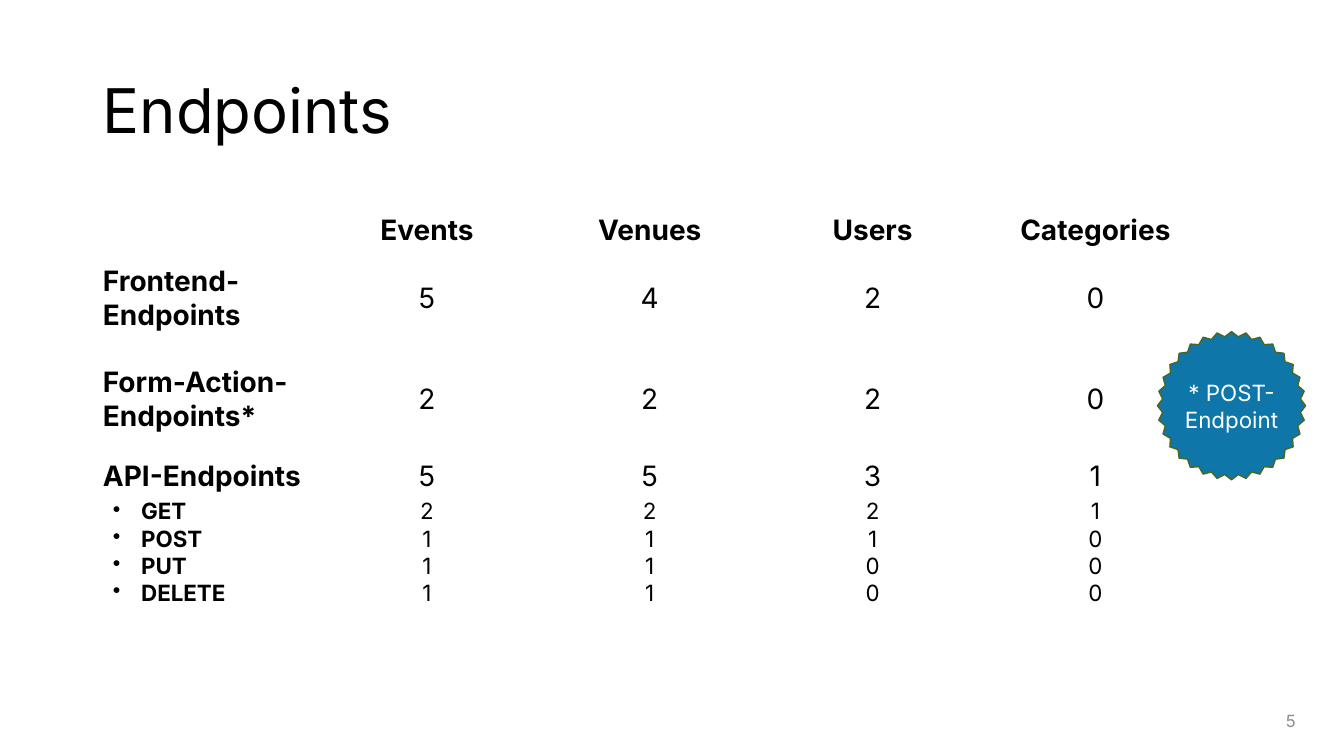
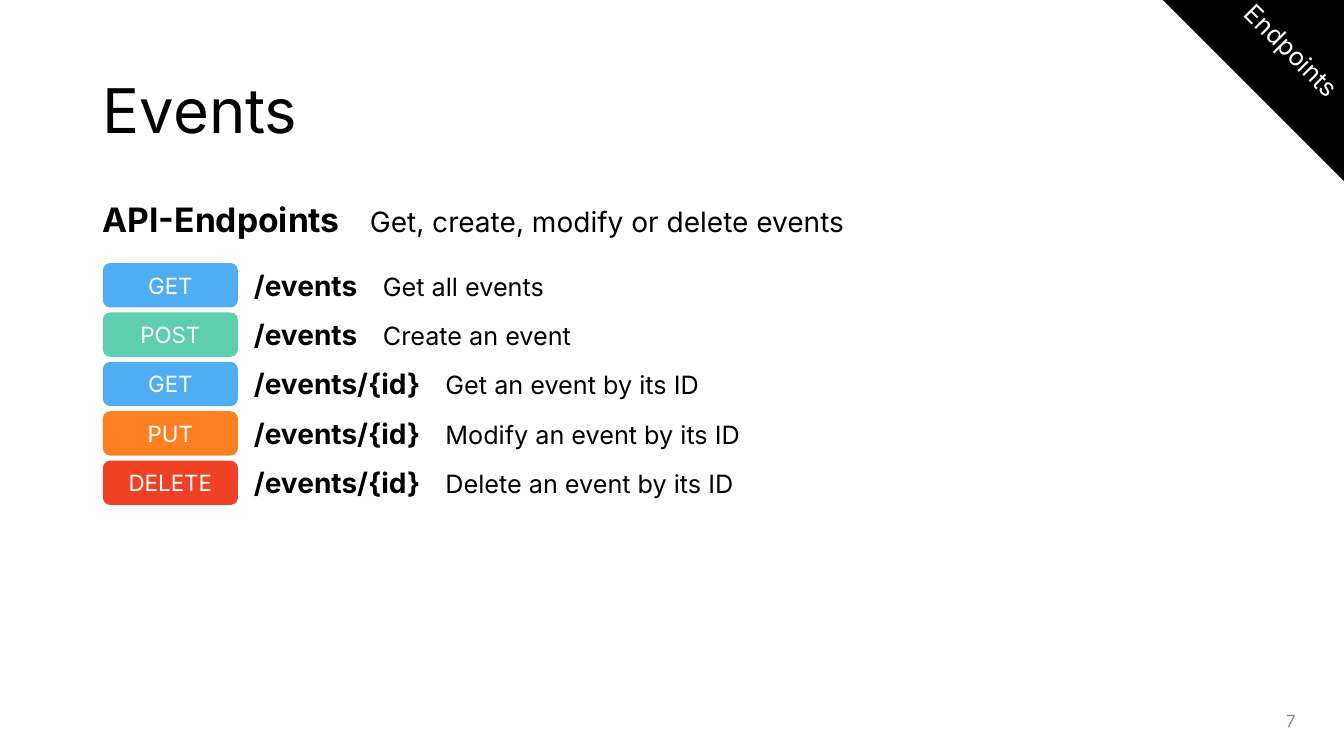
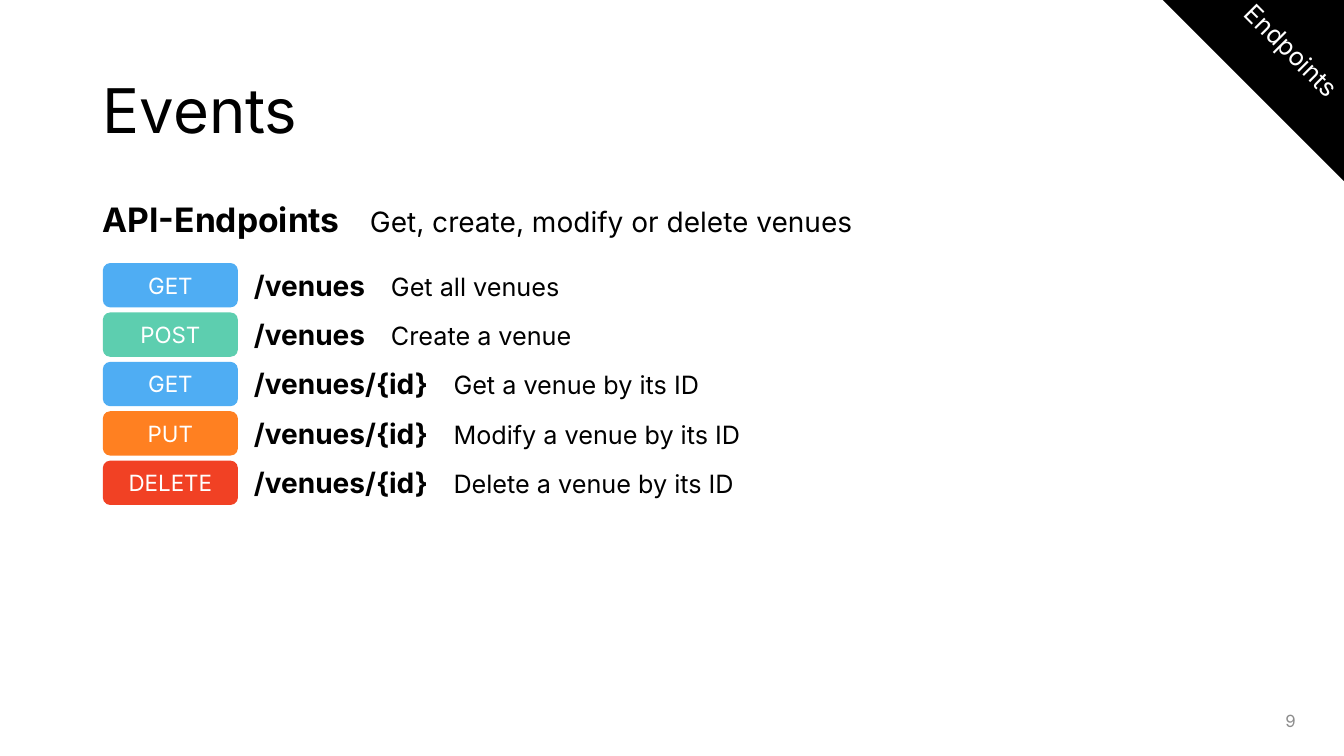
from lxml import etree
from pptx import Presentation
from pptx.dml.color import RGBColor
from pptx.enum.shapes import MSO_SHAPE
from pptx.enum.text import MSO_ANCHOR, PP_ALIGN
from pptx.oxml.ns import qn
from pptx.util import Inches, Pt

ROUNDED, STAR, TRIANGLE = MSO_SHAPE.ROUNDED_RECTANGLE, MSO_SHAPE.STAR_32_POINT, MSO_SHAPE.ISOSCELES_TRIANGLE
TOP, MIDDLE, BOTTOM = MSO_ANCHOR.TOP, MSO_ANCHOR.MIDDLE, MSO_ANCHOR.BOTTOM
LEFT, CENTER, RIGHT = PP_ALIGN.LEFT, PP_ALIGN.CENTER, PP_ALIGN.RIGHT

FONT = "Inter"
BLACK, WHITE, GREY = "000000", "FFFFFF", "8C8C8C"
STAR_FILL, STAR_LINE = "0E76A8", "496724"
METHOD_COLOURS = {"GET": "4FADF3", "POST": "5DCEAF", "PUT": "FF8021", "DELETE": "F14124"}

COLUMN_WIDTH = 2.21
ROW_HEIGHTS = [0.5, 0.92, 1.08, 1.57]
TABLE_ROWS = [
    ["", "Events", "Venues", "Users", "Categories"],
    ["Frontend-Endpoints", "5", "4", "2", "0"],
    ["Form-Action-Endpoints*", "2", "2", "2", "0"],
    ["API-Endpoints\nGET\nPOST\nPUT\nDELETE", "5\n2\n1\n1\n1", "5\n2\n1\n1\n1",
     "3\n2\n1\n0\n0", "1\n1\n0\n0\n0"],
]

RESOURCES = [
    {"number": 7, "plural": "events", "single": "an event", "collection_tab": 1.28, "item_tab": 1.9},
    {"number": 9, "plural": "venues", "single": "a venue", "collection_tab": 1.36, "item_tab": 1.98},
]
ENDPOINTS = [
    ("GET", "/{plural}", "Get all {plural}", "collection_tab"),
    ("POST", "/{plural}", "Create {single}", "collection_tab"),
    ("GET", "/{plural}/{{id}}", "Get {single} by its ID", "item_tab"),
    ("PUT", "/{plural}/{{id}}", "Modify {single} by its ID", "item_tab"),
    ("DELETE", "/{plural}/{{id}}", "Delete {single} by its ID", "item_tab"),
]
HEADING_TAB = 2.65
ENDPOINT_TOP, ENDPOINT_STEP, ENDPOINT_HEIGHT = 2.61, 0.49, 0.44


def colour(value):
    return RGBColor.from_string(value)


def apply_format(target, values):
    for name, value in values.items():
        setattr(target, name, value)


def add_run(paragraph, text, size, bold=False, text_colour=BLACK):
    for index, line in enumerate(text.split("\n")):
        if index:
            paragraph.add_line_break()
        run = paragraph.add_run()
        run.text = line
        apply_format(run.font, {"name": FONT, "size": Pt(size), "bold": bold})
        run.font.color.rgb = colour(text_colour)


def add_text(slide, box, runs, anchor=TOP, alignment=LEFT, tab=None, text_colour=BLACK, spacing=1):
    shape = slide.shapes.add_textbox(*map(Inches, box))
    apply_format(shape.text_frame, {"word_wrap": True, "vertical_anchor": anchor})
    paragraph = shape.text_frame.paragraphs[0]
    apply_format(paragraph, {"alignment": alignment, "line_spacing": spacing})
    for text, size, bold in runs:
        add_run(paragraph, text, size, bold, text_colour)
    if tab:
        tab_list = etree.SubElement(paragraph._p.get_or_add_pPr(), qn("a:tabLst"))
        etree.SubElement(tab_list, qn("a:tab"), pos=str(Inches(tab)), algn="l")


def add_label(slide, kind, box, text, size, fill, line=None, anchor=MIDDLE, frame_format=None):
    shape = slide.shapes.add_shape(kind, *map(Inches, box))
    shape.shadow.inherit = False
    shape.fill.solid()
    shape.fill.fore_color.rgb = colour(fill)
    if line:
        shape.line.color.rgb = colour(line)
        shape.line.width = Pt(1)
    else:
        shape.line.fill.background()
    apply_format(shape.text_frame, {"vertical_anchor": anchor, **(frame_format or {})})
    paragraph = shape.text_frame.paragraphs[0]
    paragraph.alignment = CENTER
    add_run(paragraph, text, size, text_colour=WHITE)
    return shape


def start_slide(presentation, title, number):
    slide = presentation.slides.add_slide(presentation.slide_layouts[6])
    add_text(slide, (0.92, 0.4, 11.5, 1.45), [(title, 44, False)], MIDDLE, spacing=0.9)
    add_text(slide, (9.95, 6.95, 3, 0.4), [(str(number), 12, False)], MIDDLE, RIGHT, text_colour=GREY)
    return slide


def add_bullet(paragraph):
    properties = paragraph._p.get_or_add_pPr()
    properties.set("marL", str(Inches(0.38)))
    properties.set("indent", str(Inches(-0.28)))
    etree.SubElement(properties, qn("a:buChar"), char="•")


def fill_cell(cell, text, is_header, is_label):
    cell.fill.background()
    cell.vertical_anchor = BOTTOM if is_header else MIDDLE
    lines = text.split("\n") if text else []
    for index, line in enumerate(lines):
        paragraph = cell.text_frame.add_paragraph() if index else cell.text_frame.paragraphs[0]
        paragraph.alignment = LEFT if is_label else CENTER
        if index == 0 and len(lines) > 1:
            paragraph.space_after = Pt(4)
        if index and is_label:
            add_bullet(paragraph)
        add_run(paragraph, line, 16 if index else 20, is_header or is_label)


def build_overview(presentation):
    slide = start_slide(presentation, "Endpoints", 5)
    row_count, column_count = len(TABLE_ROWS), len(TABLE_ROWS[0])
    box = (0.92, 2, COLUMN_WIDTH * column_count, sum(ROW_HEIGHTS))
    table = slide.shapes.add_table(row_count, column_count, *map(Inches, box)).table
    apply_format(table, {"first_row": False, "horz_banding": False})
    for row_index, values in enumerate(TABLE_ROWS):
        table.rows[row_index].height = Inches(ROW_HEIGHTS[row_index])
        for column_index, text in enumerate(values):
            fill_cell(table.cell(row_index, column_index), text, row_index == 0, column_index == 0)
    star = add_label(slide, STAR, (11.48, 3.29, 1.47, 1.47), "* POST-\nEndpoint", 16, STAR_FILL, STAR_LINE,
                     frame_format={"margin_left": 0, "margin_right": 0, "word_wrap": False})
    star.adjustments[0] = 0.467


def build_resource(presentation, resource):
    slide = start_slide(presentation, "Events", resource["number"])
    summary = "Get, create, modify or delete {plural}".format(**resource)
    add_text(slide, (0.92, 1.92, 7.75, 0.5),
             [("API-Endpoints\t", 24, True), (summary, 20, False)], tab=HEADING_TAB)
    for index, (method, route, description, tab_name) in enumerate(ENDPOINTS):
        top = ENDPOINT_TOP + index * ENDPOINT_STEP
        add_label(slide, ROUNDED, (1.02, top, 1.34, ENDPOINT_HEIGHT), method, 16, METHOD_COLOURS[method])
        runs = [(route.format(**resource) + "\t", 20, True), (description.format(**resource), 18, False)]
        add_text(slide, (2.42, top, 5.3, ENDPOINT_HEIGHT), runs, tab=resource[tab_name])
    margins = {f"margin_{side}": 0 for side in ("left", "top", "right", "bottom")}
    corner = add_label(slide, TRIANGLE, (11.58, -0.3, 2.68, 1.39), "Endpoints", 18, BLACK, BLACK, TOP,
                       {**margins, "word_wrap": False})
    corner.rotation = 45


def main():
    presentation = Presentation()
    apply_format(presentation, {"slide_width": Inches(13.33), "slide_height": Inches(7.5)})
    build_overview(presentation)
    for resource in RESOURCES:
        build_resource(presentation, resource)
    presentation.save("out.pptx")


if __name__ == "__main__":
    main()
